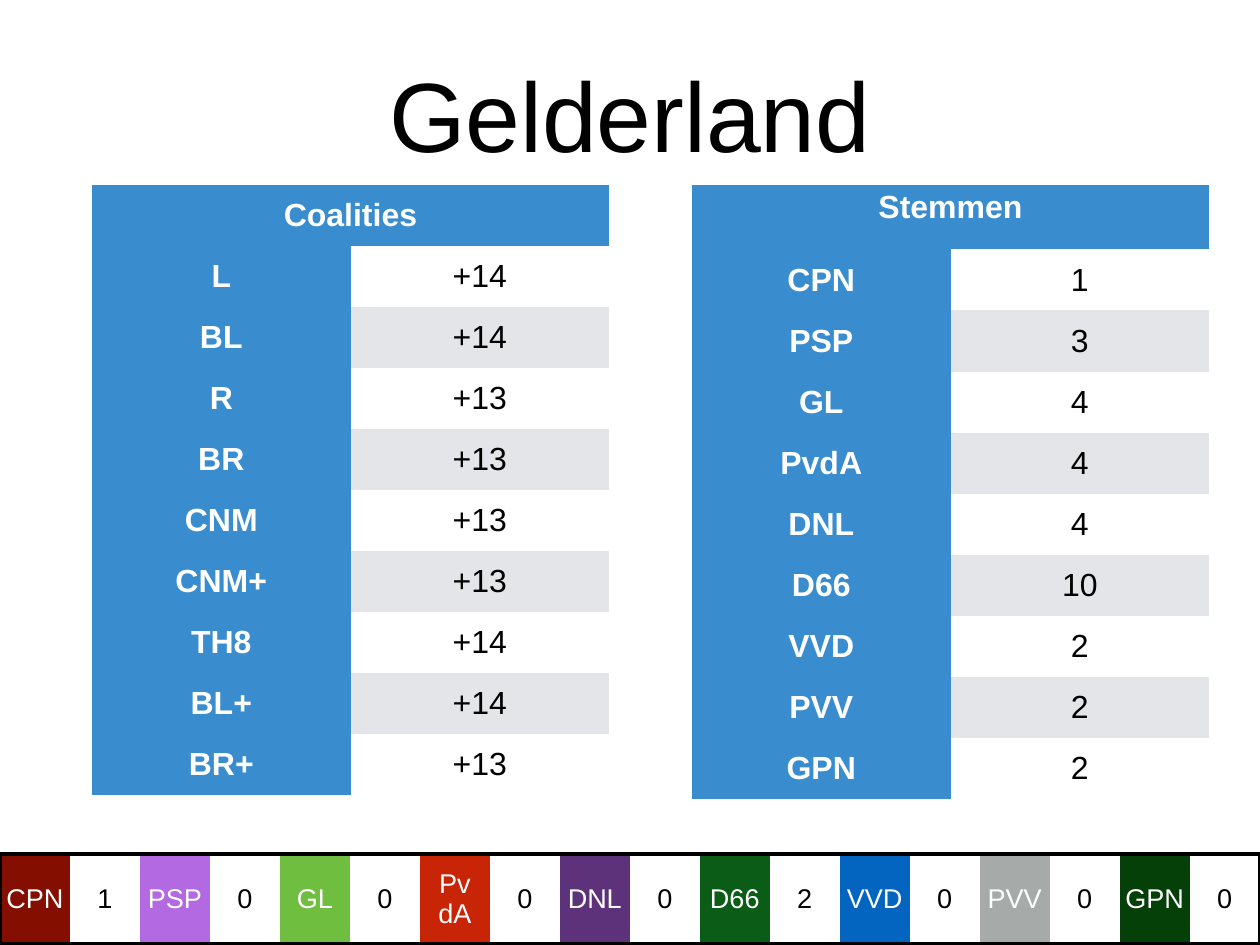
from lxml.etree import SubElement
from pptx import Presentation
from pptx.dml.color import RGBColor
from pptx.enum.text import MSO_ANCHOR, PP_ALIGN
from pptx.oxml import parse_xml
from pptx.oxml.ns import nsdecls, qn
from pptx.util import Cm, Pt

COLORS = {
    "black": "000000", "white": "FFFFFF", "head": "398CCE", "band": "E3E5E8",
    "CPN": "840F00", "PSP": "B269E1", "GL": "6FBE40", "PvdA": "C82506",
    "DNL": "5E327B", "D66": "0A5C17", "VVD": "0365C0", "PVV": "A6AAA9",
    "GPN": "054008",
}
NO_GRID = "{2D5ABB26-0587-4C30-8999-92F81FD0307C}"
WIDTH, HEIGHT = 36.12, 27.09
COALITIONS = {"L": "+14", "BL": "+14", "R": "+13", "BR": "+13", "CNM": "+13",
              "CNM+": "+13", "TH8": "+14", "BL+": "+14", "BR+": "+13"}
VOTES = {"CPN": 1, "PSP": 3, "GL": 4, "PvdA": 4, "DNL": 4,
         "D66": 10, "VVD": 2, "PVV": 2, "GPN": 2}
SEATS = {"CPN": 1, "PSP": 0, "GL": 0, "PvdA": 0, "DNL": 0,
         "D66": 2, "VVD": 0, "PVV": 0, "GPN": 0}


class SlideBuilder:
    font = "Arial"
    inset = Cm(0.15)

    def __init__(self, slide):
        self.slide = slide

    def put_text(self, tf, text, size, color, bold=False):
        p = tf.paragraphs[0]
        p.text = text
        p.alignment = PP_ALIGN.CENTER
        for r in p.runs:
            for name, value in {"name": self.font, "size": Pt(size), "bold": bold}.items():
                setattr(r.font, name, value)
            r.font.color.rgb = RGBColor.from_string(COLORS[color])

    def set_margins(self, target):
        for side in ("left", "right", "top", "bottom"):
            setattr(target, f"margin_{side}", self.inset)

    def title(self, text, x, y, w, h):
        tf = self.slide.shapes.add_textbox(Cm(x), Cm(y), Cm(w), Cm(h)).text_frame
        tf.word_wrap = True
        tf.vertical_anchor = MSO_ANCHOR.MIDDLE
        self.set_margins(tf)
        self.put_text(tf, text, 80, "black")

    def table(self, x, y, col_width, cols, row_heights):
        gf = self.slide.shapes.add_table(len(row_heights), cols, Cm(x), Cm(y),
                                         Cm(col_width * cols), Cm(sum(row_heights)))
        tbl = gf.table
        tbl.first_row = tbl.horz_banding = False
        next(gf.element.iter(qn("a:tableStyleId"))).text = NO_GRID
        for col in tbl.columns:
            col.width = Cm(col_width)
        for row, height in zip(tbl.rows, row_heights):
            row.height = Cm(height)
        return tbl

    def cell(self, cell, text, size, fill, color, bold=False, anchor=MSO_ANCHOR.MIDDLE):
        self.set_margins(cell)
        cell.vertical_anchor = anchor
        cell.fill.solid()
        cell.fill.fore_color.rgb = RGBColor.from_string(COLORS[fill])
        self.put_text(cell.text_frame, text, size, color, bold)

    def border(self, cell, sides):
        tcPr = cell._tc.get_or_add_tcPr()
        for i, side in enumerate(sides):
            ln = parse_xml(f'<a:ln{side} {nsdecls("a")} w="{Pt(3)}"/>')
            fill = SubElement(ln, qn("a:solidFill"))
            SubElement(fill, qn("a:srgbClr"), val=COLORS["black"])
            tcPr.insert(i, ln)

    def score_table(self, x, heading, scores, head_height, head_anchor):
        tbl = self.table(x, 5.29, 7.41, 2, [head_height] + [1.75] * len(scores))
        tbl.cell(0, 0).merge(tbl.cell(0, 1))
        self.cell(tbl.cell(0, 0), heading, 26, "head", "white", True, head_anchor)
        for i, (name, value) in enumerate(scores.items(), 1):
            self.cell(tbl.cell(i, 0), name, 26, "head", "white", True)
            self.cell(tbl.cell(i, 1), str(value), 26, "white" if i % 2 else "band", "black")

    def seat_strip(self, seats):
        cols = 2 * len(seats)
        tbl = self.table(0, 24.48, WIDTH / cols, cols, [2.57])
        for i, (party, count) in enumerate(seats.items()):
            label = party.replace("PvdA", "Pv\vdA")
            self.cell(tbl.cell(0, 2 * i), label, 22, party, "white")
            self.cell(tbl.cell(0, 2 * i + 1), str(count), 22, "white", "black")
        for i in range(cols):
            sides = {0: "LTB", cols - 1: "RTB"}.get(i, "TB")
            self.border(tbl.cell(0, i), sides)


def main():
    prs = Presentation()
    prs.slide_width, prs.slide_height = Cm(WIDTH), Cm(HEIGHT)
    s = SlideBuilder(prs.slides.add_slide(prs.slide_layouts[6]))
    s.title("Gelderland", 2.64, 1.24, 30.84, 3.99)
    s.score_table(2.64, "Coalities", COALITIONS, 1.75, MSO_ANCHOR.MIDDLE)
    s.score_table(19.84, "Stemmen", VOTES, 1.86, MSO_ANCHOR.TOP)
    s.seat_strip(SEATS)
    prs.save("out.pptx")


if __name__ == "__main__":
    main()
